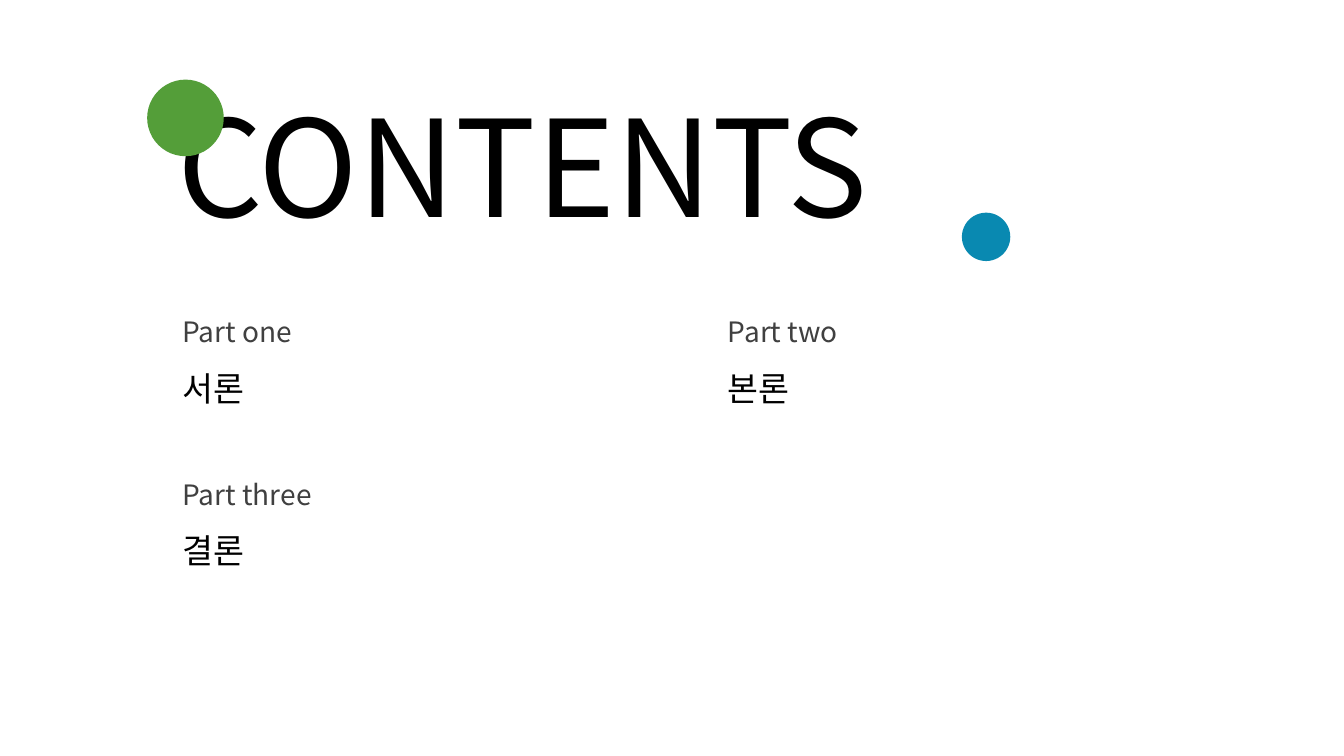
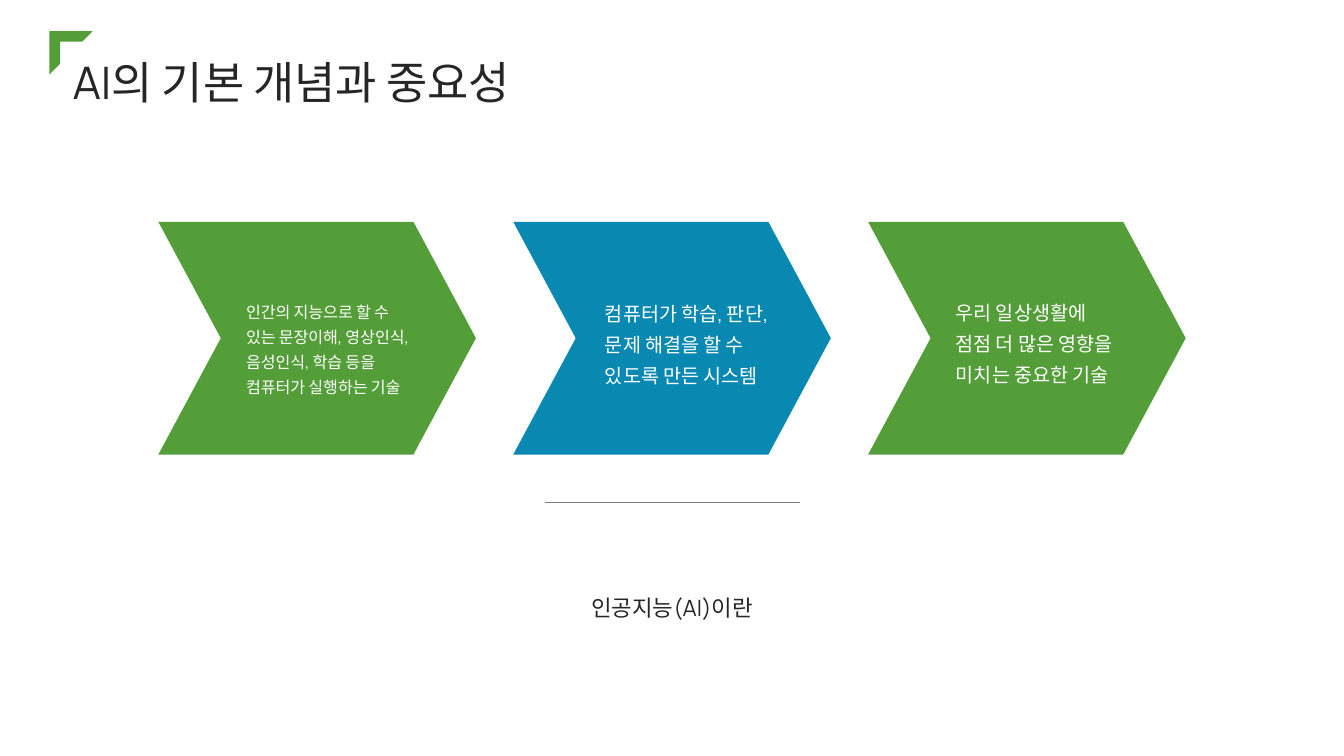
from lxml.etree import SubElement
from pptx import Presentation
from pptx.dml.color import RGBColor
from pptx.enum.shapes import MSO_CONNECTOR, MSO_SHAPE
from pptx.enum.text import MSO_ANCHOR, MSO_AUTO_SIZE, PP_ALIGN
from pptx.oxml.ns import qn
from pptx.util import Inches, Pt

COLORS = {
    "green": "549E39",
    "blue": "0989B1",
    "black": "000000",
    "label": "404040",
    "dark": "262626",
    "rule": "808080",
    "white": "FFFFFF",
}
CONTENTS_FONT = "Noto Sans CJK SC"
BODY_FONT = "Manrope"
TITLE_ONLY_LAYOUT = 5

PARTS = [("Part one", "서론"), ("Part two", "본론"), ("Part three", "결론")]
PART_COLUMNS = 2
PART_LEFT, PART_TOP = 1.81, 3.16
PART_PITCH_X, PART_PITCH_Y = 5.41, 1.61

CONTENTS_DOTS = [(1.46, 0.79, 0.76, "green"), (9.54, 2.11, 0.48, "blue")]

# text, size, fill, text box (left, top, width)
CHEVRONS = [
    ("인간의 지능으로 할 수 있는 문장이해, 영상인식, 음성인식, 학습 등을 컴퓨터가 실행하는 기술",
     11.5, "green", (2.44, 2.94, 1.69)),
    ("컴퓨터가 학습, 판단, 문제 해결을 할 수 있도록 만든 시스템",
     14, "blue", (6, 2.93, 1.63)),
    ("우리 일상생활에 점점 더 많은 영향을 미치는 중요한 기술",
     14, "green", (9.48, 2.92, 1.66)),
]
CHEVRON_LEFT, CHEVRON_TOP, CHEVRON_PITCH = 1.57, 2.2, 3.52
CHEVRON_WIDTH, CHEVRON_HEIGHT, CHEVRON_POINT = 3.15, 2.31, 0.62


def rgb(name):
    return RGBColor.from_string(COLORS[name])


def write(shape, text, size, color, font, spacing,
          align=PP_ALIGN.LEFT, anchor=MSO_ANCHOR.TOP):
    """Fill a text shape with one run, without insets or autofit."""
    frame = shape.text_frame
    frame.word_wrap = True
    frame.auto_size = MSO_AUTO_SIZE.NONE
    frame.vertical_anchor = anchor
    frame.margin_left = frame.margin_right = 0
    frame.margin_top = frame.margin_bottom = 0
    paragraph = frame.paragraphs[0]
    paragraph.alignment = align
    paragraph.line_spacing = spacing
    paragraph.space_before = Pt(0)
    run = paragraph.add_run()
    run.text = text
    run.font.size = Pt(size)
    run.font.name = font
    run.font.color.rgb = rgb(color)
    SubElement(run.font._element, qn("a:ea"), typeface=font)


def add_text(slide, box, *args, **options):
    shape = slide.shapes.add_textbox(*map(Inches, box))
    write(shape, *args, **options)


def add_title(slide, box, *args, **options):
    title = slide.shapes.title
    title.left, title.top, title.width, title.height = map(Inches, box)
    write(title, *args, **options)


def add_filled(slide, kind, box, color, adjustments=()):
    shape = slide.shapes.add_shape(kind, *map(Inches, box))
    shape.shadow.inherit = False
    shape.fill.solid()
    shape.fill.fore_color.rgb = rgb(color)
    shape.line.fill.background()
    for index, value in enumerate(adjustments):
        shape.adjustments[index] = value


def add_rule(slide, left, right, top):
    rule = slide.shapes.add_connector(
        MSO_CONNECTOR.STRAIGHT, Inches(left), Inches(top), Inches(right), Inches(top))
    rule.line.color.rgb = rgb("rule")
    rule.line.width = Pt(0.5)
    SubElement(rule._element.spPr, qn("a:effectLst"))


def build_contents(slide):
    add_title(slide, (1.76, 1.01, 7.58, 1.58), "CONTENTS", 96, "black", CONTENTS_FONT, 0.9)
    for index, (label, heading) in enumerate(PARTS):
        row, column = divmod(index, PART_COLUMNS)
        left = PART_LEFT + column * PART_PITCH_X
        top = PART_TOP + row * PART_PITCH_Y
        add_text(slide, (left, top, 2.36, 0.31), label, 20, "label", CONTENTS_FONT, 0.9)
        add_text(slide, (left, top + 0.41, 4.72, 0.98), heading, 24, "black",
                 CONTENTS_FONT, 1.2)
    for left, top, size, color in CONTENTS_DOTS:
        add_filled(slide, MSO_SHAPE.OVAL, (left, top, size, size), color)


def build_concept(slide):
    add_title(slide, (0.72, 0.53, 11.88, 0.51), "AI의 기본 개념과 중요성", 32, "dark",
              BODY_FONT, 1.1, anchor=MSO_ANCHOR.MIDDLE)
    add_filled(slide, MSO_SHAPE.HALF_FRAME, (0.49, 0.31, 0.43, 0.43), "green", (0.24, 0.25))
    for index, (text, size, color, text_box) in enumerate(CHEVRONS):
        left = CHEVRON_LEFT + index * CHEVRON_PITCH
        add_filled(slide, MSO_SHAPE.CHEVRON,
                   (left, CHEVRON_TOP, CHEVRON_WIDTH, CHEVRON_HEIGHT), color,
                   (CHEVRON_POINT / CHEVRON_HEIGHT,))
        add_text(slide, (*text_box, 1.21), text, size, "white", BODY_FONT, 1.3)
    add_rule(slide, 5.41, 7.93, 4.98)
    add_text(slide, (1.28, 5.22, 10.77, 0.94), "인공지능(AI)이란", 16, "dark", BODY_FONT,
             1.5, align=PP_ALIGN.CENTER, anchor=MSO_ANCHOR.BOTTOM)


def main():
    presentation = Presentation()
    presentation.slide_width = Inches(13.33)
    presentation.slide_height = Inches(7.5)
    layout = presentation.slide_layouts[TITLE_ONLY_LAYOUT]
    for build in (build_contents, build_concept):
        build(presentation.slides.add_slide(layout))
    presentation.save("out.pptx")


if __name__ == "__main__":
    main()
